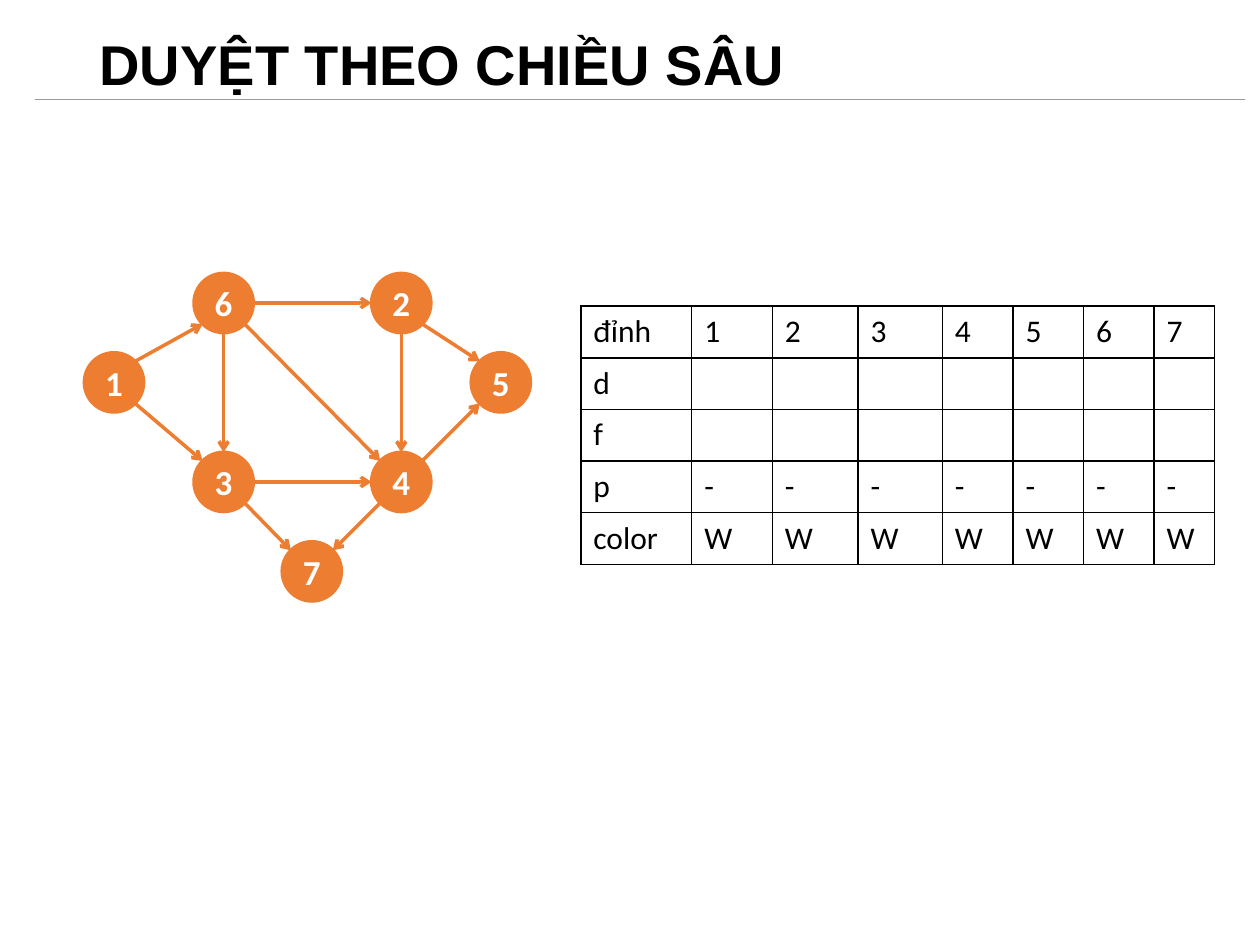
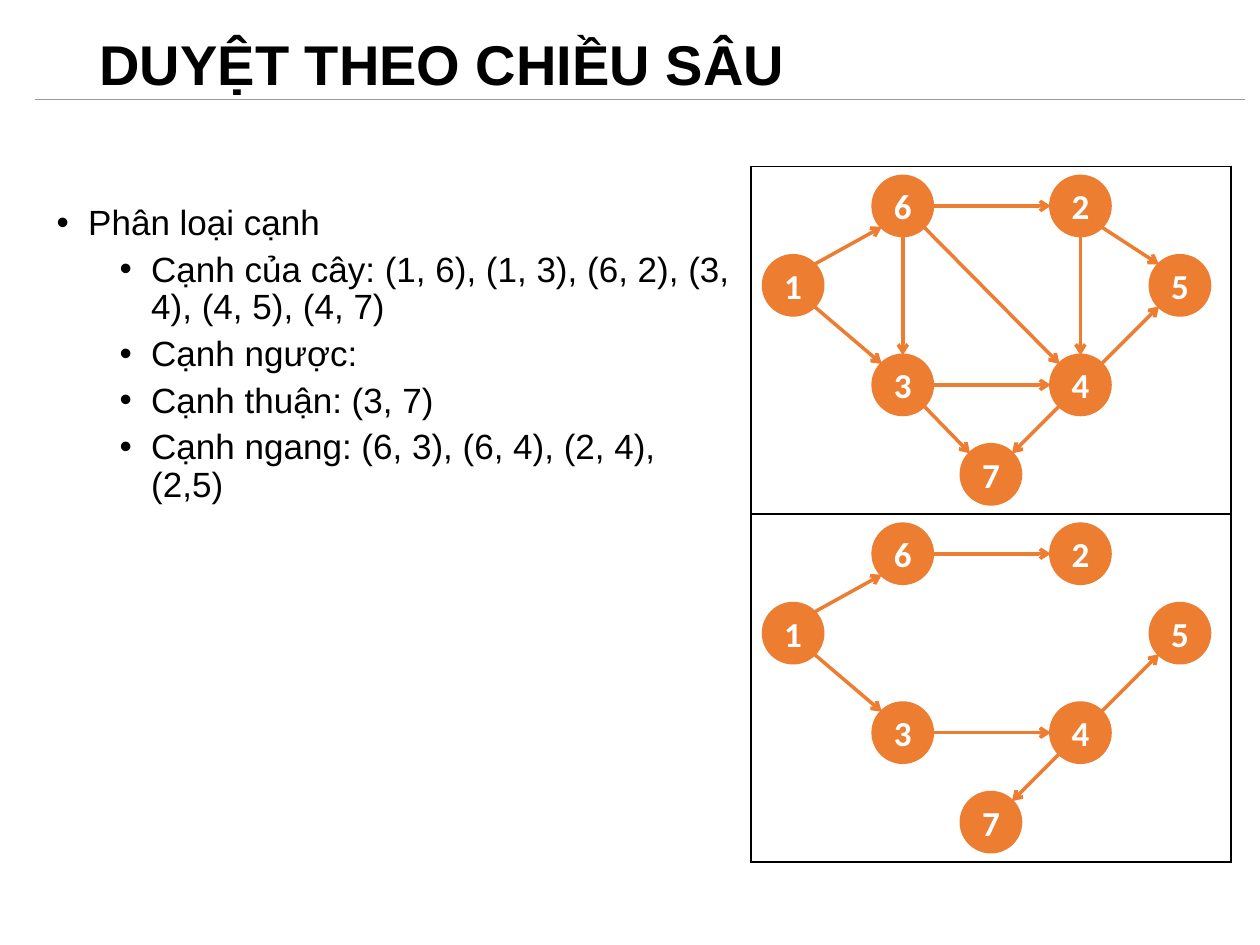
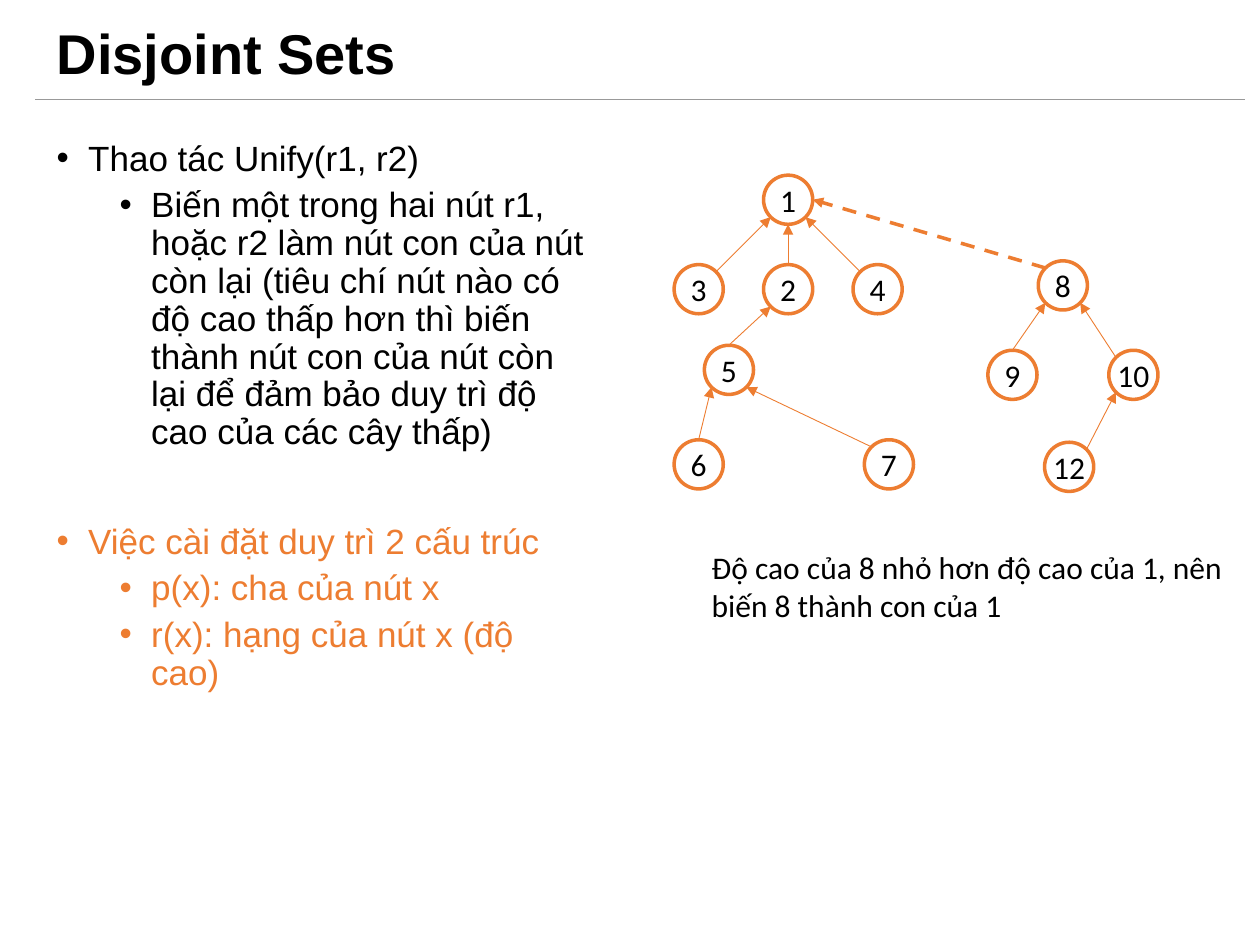
from math import hypot

from lxml.etree import SubElement
from pptx import Presentation
from pptx.dml.color import RGBColor
from pptx.enum.dml import MSO_LINE
from pptx.enum.shapes import MSO_CONNECTOR, MSO_SHAPE
from pptx.enum.text import MSO_ANCHOR, MSO_AUTO_SIZE, PP_ALIGN
from pptx.oxml import parse_xml
from pptx.oxml.ns import nsdecls, qn
from pptx.util import Inches, Pt

COLORS = {"text": "000000", "accent": "ED7D31", "white": "FFFFFF", "rule": "999999"}
HEADING_FONT = "Arial"
LABEL_FONT = "Calibri"
TITLE_ONLY, TITLE_AND_BODY = 5, 1

DIRECTIONS = {
    "N": (0, -1), "NE": (1, -1), "E": (1, 0), "SE": (1, 1),
    "S": (0, 1), "SW": (-1, 1), "W": (-1, 0), "NW": (-1, -1),
}

GRAPH_NODES = {
    "1": (0, 0.63), "6": (0.87, 0), "3": (0.87, 1.42), "2": (2.28, 0),
    "4": (2.28, 1.42), "5": (3.07, 0.63), "7": (1.57, 2.13),
}
TREE_EDGES = [
    ("1", "NE", "6", "SW"), ("1", "SE", "3", "NW"), ("6", "E", "2", "W"),
    ("3", "E", "4", "W"), ("4", "NE", "5", "SW"), ("4", "SW", "7", "NE"),
]
OTHER_EDGES = [
    ("2", "SE", "5", "NW"), ("6", "S", "3", "N"), ("2", "S", "4", "N"),
    ("6", "SE", "4", "NW"), ("3", "SE", "7", "NW"),
]

SET_NODES = {
    "1": (6.06, 1.39), "3": (5.35, 2.1), "2": (6.06, 2.1), "4": (6.77, 2.1),
    "5": (5.59, 2.74), "7": (6.86, 3.49), "6": (5.35, 3.49), "8": (8.24, 2.07),
    "10": (8.8, 2.78), "9": (7.84, 2.78), "12": (8.29, 3.51),
}
SET_EDGES = [
    ("3", "NE", "1", "SW"), ("2", "N", "1", "S"), ("4", "NW", "1", "SE"),
    ("5", "N", "2", "SW"), ("6", "N", "5", "SW"), ("7", "NW", "5", "SE"),
    ("9", "N", "8", "SW"), ("10", "NW", "8", "SE"), ("12", "NE", "10", "SW"),
]


def color(name):
    return RGBColor.from_string(COLORS[name])


def box(left, top, width, height):
    return [Inches(value) for value in (left, top, width, height)]


class Deck:
    def __init__(self):
        self.presentation = Presentation()
        self.presentation.slide_width = Inches(10)
        self.presentation.slide_height = Inches(7.5)
        self.slide = None

    def new_slide(self, layout, title, title_box):
        layouts = self.presentation.slide_layouts
        self.slide = self.presentation.slides.add_slide(layouts[layout])
        shape = self.slide.shapes.title
        self.place(shape, title_box)
        shape.text_frame.vertical_anchor = MSO_ANCHOR.MIDDLE
        shape.text_frame.text = title
        paragraph = shape.text_frame.paragraphs[0]
        paragraph.alignment = PP_ALIGN.LEFT
        paragraph.line_spacing = 0.9
        self.style(paragraph, 32, HEADING_FONT, bold=True)
        self.line((0.28, 0.79), (9.88, 0.79), 0.5, "rule")

    def place(self, shape, position):
        shape.left, shape.top, shape.width, shape.height = box(*position)
        shape.text_frame.word_wrap = True
        shape.text_frame.auto_size = MSO_AUTO_SIZE.NONE

    def style(self, paragraph, size, font, color_name="text", bold=False):
        paragraph.font.size = Pt(size)
        paragraph.font.name = font
        paragraph.font.bold = bold
        paragraph.font.color.rgb = color(color_name)

    def bullets(self, position, items):
        shape = self.slide.placeholders[1]
        self.place(shape, position)
        frame = shape.text_frame
        for index, (level, text, color_name, space_before) in enumerate(items):
            paragraph = frame.add_paragraph() if index else frame.paragraphs[0]
            paragraph.text = text
            paragraph.level = level
            paragraph.line_spacing = 0.9
            paragraph.space_before = Pt(space_before)
            properties = paragraph._p.get_or_add_pPr()
            properties.set("marL", str(Inches(0.25 + 0.5 * level)))
            properties.set("indent", str(Inches(-0.25)))
            SubElement(properties, qn("a:buFont"), typeface=HEADING_FONT)
            SubElement(properties, qn("a:buChar"), char="•")
            self.style(paragraph, 20, HEADING_FONT, color_name)

    def line(self, start, end, width, color_name="accent", arrow=None, dash=None):
        connector = self.slide.shapes.add_connector(
            MSO_CONNECTOR.STRAIGHT, *box(*start, *end))
        connector.line.width = Pt(width)
        connector.line.color.rgb = color(color_name)
        if dash:
            connector.line.dash_style = dash
        if arrow:
            SubElement(connector.line._get_or_add_ln(), qn("a:tailEnd"), type=arrow)
        SubElement(connector._element.spPr, qn("a:effectLst"))

    def node(self, label, left, top, diameter, size, filled):
        shape = self.slide.shapes.add_shape(
            MSO_SHAPE.OVAL, *box(left, top, diameter, diameter))
        shape.shadow.inherit = False
        if filled:
            shape.fill.solid()
            shape.fill.fore_color.rgb = color("accent")
        else:
            shape.fill.background()
        shape.line.color.rgb = color("accent")
        shape.line.width = Pt(2)
        frame = shape.text_frame
        frame.margin_left = frame.margin_right = 0
        frame.vertical_anchor = MSO_ANCHOR.MIDDLE
        frame.text = label
        paragraph = frame.paragraphs[0]
        paragraph.alignment = PP_ALIGN.CENTER
        self.style(paragraph, size, LABEL_FONT, "white" if filled else "text", filled)

    def edge(self, nodes, diameter, route, width, arrow, dash=None):
        def site(label, direction):
            step_x, step_y = DIRECTIONS[direction]
            radius = diameter / 2
            scale = radius / hypot(step_x, step_y)
            left, top = nodes[label]
            return left + radius + step_x * scale, top + radius + step_y * scale

        source, source_side, target, target_side = route
        self.line(site(source, source_side), site(target, target_side), width,
                  arrow=arrow, dash=dash)

    def graph(self, left, top, edges):
        diameter = 0.47
        nodes = {label: (left + x, top + y) for label, (x, y) in GRAPH_NODES.items()}
        for label, position in nodes.items():
            self.node(label, *position, diameter, 20, True)
        for route in edges:
            self.edge(nodes, diameter, route, 2, "arrow")

    def forest(self, nodes, edges, union):
        diameter = 0.39
        for label, position in nodes.items():
            self.node(label, *position, diameter, 18, False)
        for route in edges:
            self.edge(nodes, diameter, route, 0.5, "triangle")
        self.edge(nodes, diameter, union, 2, "triangle", MSO_LINE.DASH)

    def table(self, left, top, widths, row_height, rows):
        table = self.slide.shapes.add_table(
            len(rows), len(widths),
            *box(left, top, sum(widths), row_height * len(rows))).table
        table.first_row = table.horz_banding = False
        for column, width in zip(table.columns, widths):
            column.width = Inches(width)
        for row, texts in zip(table.rows, rows):
            row.height = Inches(row_height)
            for cell, text in zip(row.cells, texts):
                cell.text = text
                self.style(cell.text_frame.paragraphs[0], 18, LABEL_FONT)
                cell.fill.background()
                self.borders(cell)

    def borders(self, cell):
        properties = cell._tc.get_or_add_tcPr()
        for index, side in enumerate(("lnL", "lnR", "lnT", "lnB")):
            properties.insert(index, parse_xml(
                f'<a:{side} {nsdecls("a")} w="{Pt(1)}"><a:solidFill>'
                f'<a:srgbClr val="{COLORS["text"]}"/></a:solidFill></a:{side}>'))

    def caption(self, text, position):
        shape = self.slide.shapes.add_textbox(*box(*position))
        shape.text_frame.word_wrap = True
        shape.text_frame.text = text
        self.style(shape.text_frame.paragraphs[0], 18, LABEL_FONT)


def main():
    deck = Deck()
    search_title = "DUYỆT THEO CHIỀU SÂU"
    search_title_box = (0.69, 0.13, 8.62, 0.81)

    deck.new_slide(TITLE_ONLY, search_title, search_title_box)
    vertices = list("1234567")
    count = len(vertices)
    deck.table(4.61, 2.43, [0.88, 0.64, 0.68, 0.67, 0.56, 0.56, 0.56, 0.48], 0.41, [
        ["đỉnh"] + vertices,
        ["d"] + [""] * count,
        ["f"] + [""] * count,
        ["p"] + ["-"] * count,
        ["color"] + ["W"] * count,
    ])
    deck.graph(0.67, 2.17, TREE_EDGES + OTHER_EDGES)

    deck.new_slide(TITLE_AND_BODY, search_title, search_title_box)
    deck.bullets((0.35, 1.58, 5.6, 5.47), [
        (0, "Phân loại cạnh", "text", 0),
        (1, "Cạnh của cây: (1, 6), (1, 3), (6, 2), (3, 4), (4, 5), (4, 7)", "text", 5),
        (1, "Cạnh ngược:", "text", 5),
        (1, "Cạnh thuận: (3, 7)", "text", 5),
        (1, "Cạnh ngang: (6, 3), (6, 4), (2, 4), (2,5)", "text", 5),
    ])
    panel_height = 2.76
    deck.table(5.96, 1.32, [3.81], panel_height, [[""], [""]])
    for panel, edges in enumerate((TREE_EDGES + OTHER_EDGES, TREE_EDGES)):
        deck.graph(6.06, 1.4 + panel * panel_height, edges)

    deck.new_slide(TITLE_AND_BODY, "Disjoint Sets", (0.35, 0.13, 9.45, 0.63))
    deck.bullets((0.35, 1.07, 4.41, 5.43), [
        (0, "Thao tác Unify(r1, r2)", "text", 0),
        (1, "Biến một trong hai nút r1, hoặc r2 làm nút con của nút còn lại "
            "(tiêu chí nút nào có độ cao thấp hơn thì biến thành nút con của nút "
            "còn lại để đảm bảo duy trì độ cao của các cây thấp)", "text", 5),
        (0, "Việc cài đặt duy trì 2 cấu trúc", "accent", 41),
        (1, "p(x): cha của nút x", "accent", 5),
        (1, "r(x): hạng của nút x (độ cao)", "accent", 5),
    ])
    deck.forest(SET_NODES, SET_EDGES, ("8", "NW", "1", "E"))
    deck.caption("Độ cao của 8 nhỏ hơn độ cao của 1, nên biến 8 thành con của 1",
                 (5.55, 4.3, 4.41, 0.71))

    deck.presentation.save("out.pptx")


if __name__ == "__main__":
    main()
